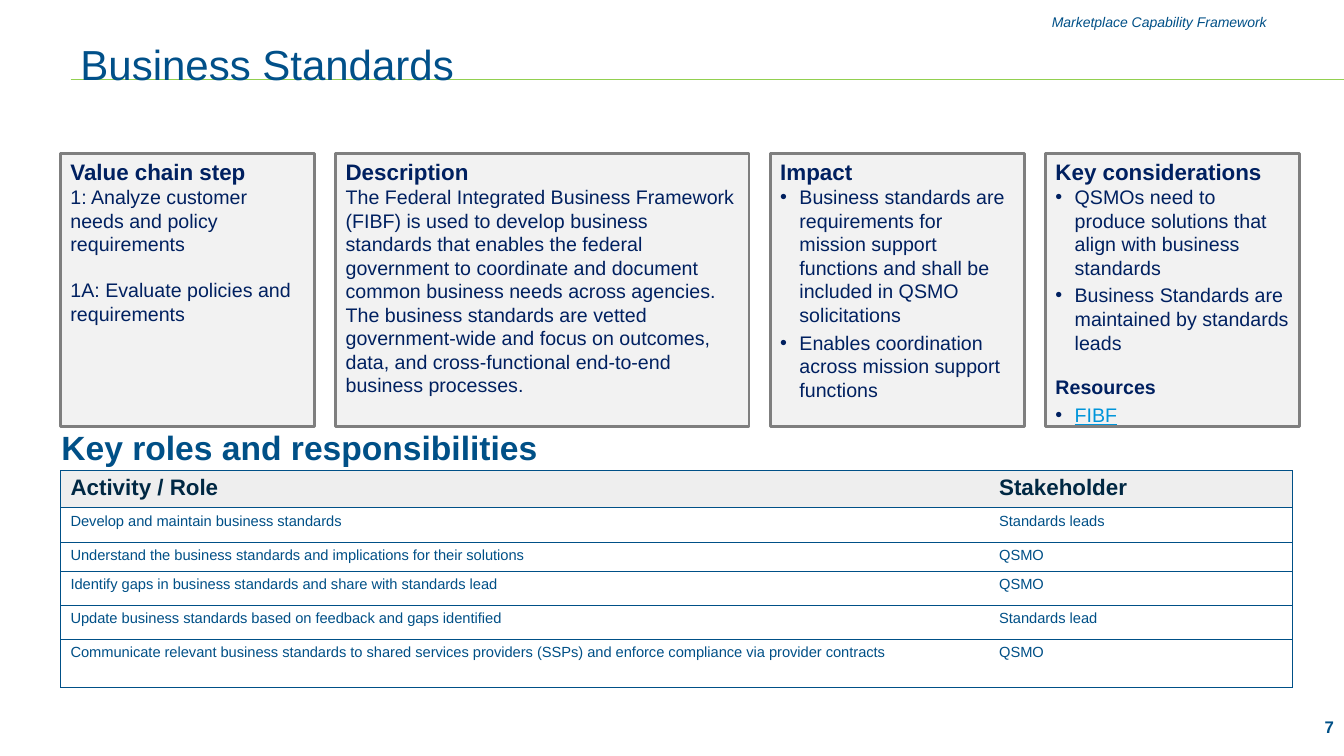
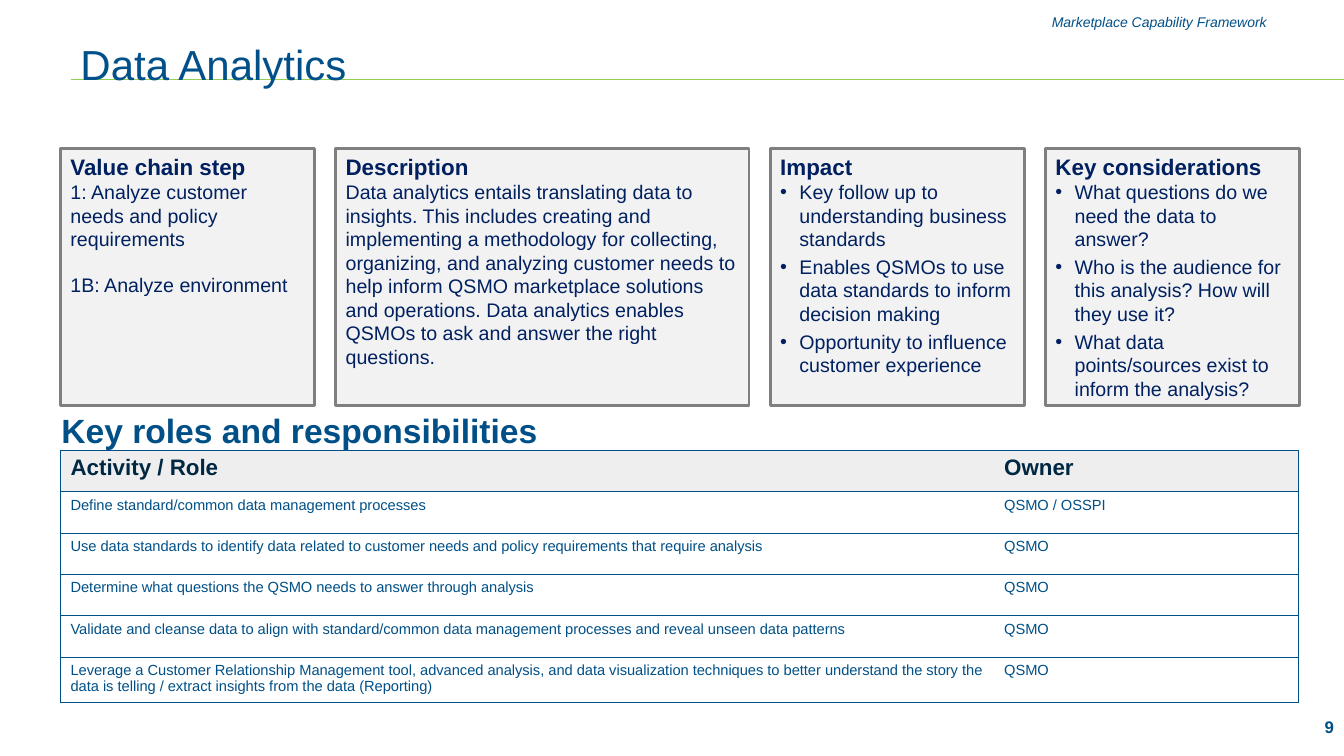
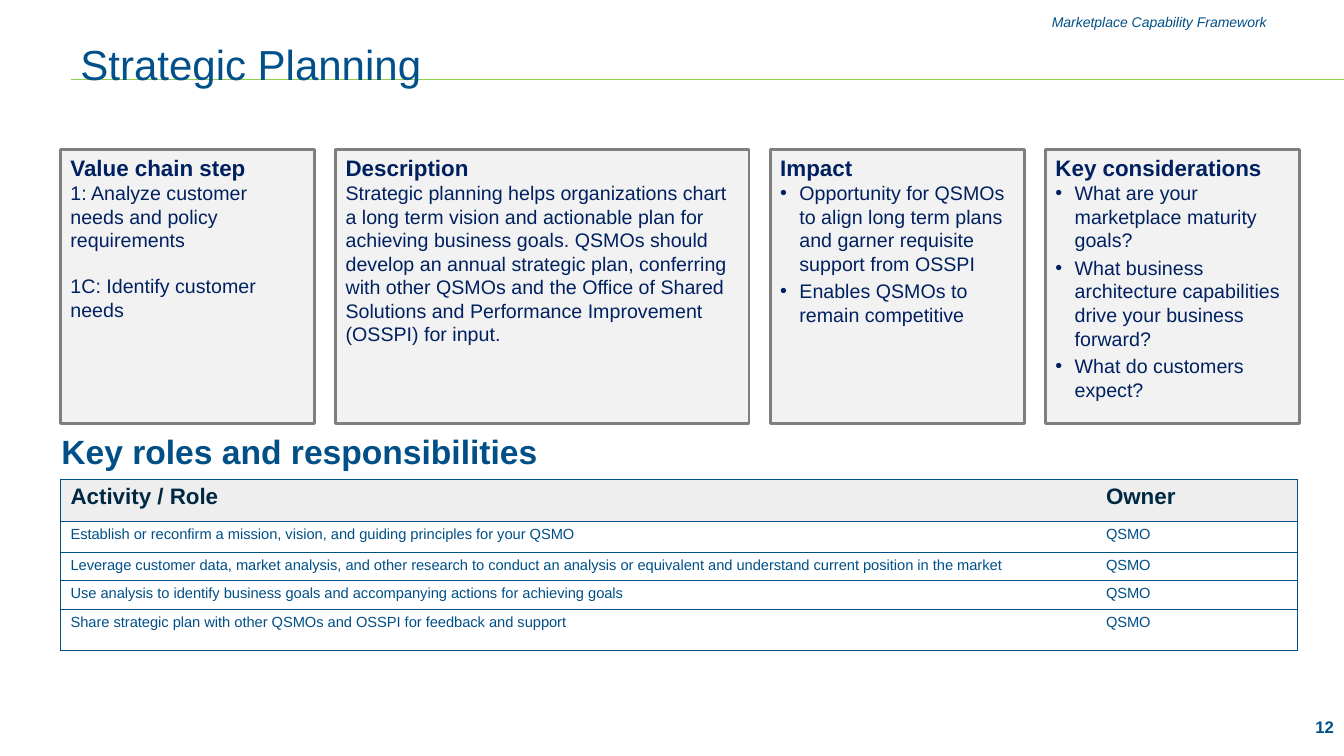
from lxml import etree
from pptx import Presentation
from pptx.dml.color import RGBColor
from pptx.enum.shapes import MSO_CONNECTOR, MSO_SHAPE
from pptx.enum.text import MSO_ANCHOR, PP_ALIGN
from pptx.oxml.ns import qn
from pptx.util import Inches, Pt

RECTANGLE = MSO_SHAPE.RECTANGLE
STRAIGHT = MSO_CONNECTOR.STRAIGHT
TOP, MIDDLE, BOTTOM = MSO_ANCHOR.TOP, MSO_ANCHOR.MIDDLE, MSO_ANCHOR.BOTTOM
LEFT, RIGHT = PP_ALIGN.LEFT, PP_ALIGN.RIGHT

FONT = "Arial"
BLUE, TITLE_BLUE, NAVY, DARK = "005087", "015089", "002060", "002843"
LINK, GREEN = "0095DA", "92D050"
BOX_FILL, BOX_LINE, HEADER_FILL = "F2F2F2", "7F7F7F", "EEEEEE"

WIDTH, HEIGHT = 13.33, 7.5
MARGIN = 0.6
BOX_GAP = 0.21
BOX_WIDTHS = [2.52, 4.1, 2.52, 2.52]
BOX_HEADINGS = ["Value chain step", "Description", "Impact", "Key considerations"]
NO_TABLE_STYLE = "{2D5ABB26-0587-4C30-8999-92F81FD0307C}"

# Kinds of paragraph inside a box
PLAIN, BULLET, SUBHEAD, LINK_BULLET = range(4)
STEP = "1: Analyze customer needs and policy requirements"

SLIDES = [
    {
        "title": "Business Standards",
        "number": "7",
        "boxes_top": 1.52,
        "boxes_height": 2.71,
        "boxes": [
            [(PLAIN, STEP), (PLAIN, "1A: Evaluate policies and requirements")],
            [(PLAIN, "The Federal Integrated Business Framework (FIBF) is used to develop "
                     "business standards that enables the federal government to coordinate and "
                     "document common business needs across agencies. The business standards "
                     "are vetted government-wide and focus on outcomes, data, and "
                     "cross-functional end-to-end business processes.")],
            [(BULLET, "Business standards are requirements for mission support functions and "
                      "shall be included in QSMO solicitations"),
             (BULLET, "Enables coordination across mission support functions")],
            [(BULLET, "QSMOs need to produce solutions that align with business standards"),
             (BULLET, "Business Standards are maintained by standards leads"),
             (SUBHEAD, "Resources"),
             (LINK_BULLET, "FIBF")],
        ],
        "roles_top": 4.19,
        "table_top": 4.67,
        "columns": [9.21, 3.01],
        "row_heights": [0.34, 0.34, 0.29, 0.34, 0.34, 0.47],
        "rows": [
            ("Activity / Role", "Stakeholder"),
            ("Develop and maintain business standards", "Standards leads"),
            ("Understand the business standards and implications for their solutions", "QSMO"),
            ("Identify gaps in business standards and share with standards lead", "QSMO"),
            ("Update business standards based on feedback and gaps identified",
             "Standards lead"),
            ("Communicate relevant business standards to shared services providers (SSPs) and "
             "enforce compliance via provider contracts", "QSMO"),
        ],
    },
    {
        "title": "Data Analytics",
        "number": "9",
        "boxes_top": 1.47,
        "boxes_height": 2.55,
        "boxes": [
            [(PLAIN, STEP), (PLAIN, "1B: Analyze environment")],
            [(PLAIN, "Data analytics entails translating data to insights. This includes "
                     "creating and implementing a methodology for collecting, organizing, and "
                     "analyzing customer needs to help inform QSMO marketplace solutions and "
                     "operations. Data analytics enables QSMOs to ask and answer the right "
                     "questions.")],
            [(BULLET, "Key follow up to understanding business standards"),
             (BULLET, "Enables QSMOs to use data standards to inform decision making"),
             (BULLET, "Opportunity to influence customer experience")],
            [(BULLET, "What questions do we need the data to answer?"),
             (BULLET, "Who is the audience for this analysis? How will they use it?"),
             (BULLET, "What data points/sources exist to inform the analysis?")],
        ],
        "roles_top": 4.02,
        "table_top": 4.47,
        "columns": [9.26, 3.02],
        "row_heights": [0.41] * 6,
        "rows": [
            ("Activity / Role", "Owner"),
            ("Define standard/common data management processes", "QSMO / OSSPI"),
            ("Use data standards to identify data related to customer needs and policy "
             "requirements that require analysis", "QSMO"),
            ("Determine what questions the QSMO needs to answer through analysis", "QSMO"),
            ("Validate and cleanse data to align with standard/common data management "
             "processes and reveal unseen data patterns", "QSMO"),
            ("Leverage a Customer Relationship Management tool, advanced analysis, and data "
             "visualization techniques to better understand the story the data is telling / "
             "extract insights from the data (Reporting)", "QSMO"),
        ],
    },
    {
        "title": "Strategic Planning",
        "number": "12",
        "boxes_top": 1.48,
        "boxes_height": 2.72,
        "boxes": [
            [(PLAIN, STEP), (PLAIN, "1C: Identify customer needs")],
            [(PLAIN, "Strategic planning helps organizations chart a long term vision and "
                     "actionable plan for achieving business goals. QSMOs should develop an "
                     "annual strategic plan, conferring with other QSMOs and the Office of "
                     "Shared Solutions and Performance Improvement (OSSPI) for input.")],
            [(BULLET, "Opportunity for QSMOs to align long term plans and garner requisite "
                      "support from OSSPI"),
             (BULLET, "Enables QSMOs to remain competitive")],
            [(BULLET, "What are your marketplace maturity goals?"),
             (BULLET, "What business architecture capabilities drive your business forward?"),
             (BULLET, "What do customers expect?")],
        ],
        "roles_top": 4.23,
        "table_top": 4.76,
        "columns": [10.27, 2],
        "row_heights": [0.41, 0.31, 0.26, 0.29, 0.41],
        "rows": [
            ("Activity / Role", "Owner"),
            ("Establish or reconfirm a mission, vision, and guiding principles for your QSMO",
             "QSMO"),
            ("Leverage customer data, market analysis, and other research to conduct an "
             "analysis or equivalent and understand current position in the market", "QSMO"),
            ("Use analysis to identify business goals and accompanying actions for achieving "
             "goals", "QSMO"),
            ("Share strategic plan with other QSMOs and OSSPI for feedback and support",
             "QSMO"),
        ],
    },
]


def rgb(value):
    return RGBColor.from_string(value)


def style_font(paragraph, size, color, bold=False, italic=False, underline=False):
    for run in paragraph.runs:
        font = run.font
        font.name, font.size, font.color.rgb = FONT, Pt(size), rgb(color)
        font.bold, font.italic, font.underline = bold, italic, underline


def add_text(slide, box, text, size, color, align=LEFT, anchor=TOP, inset=0.05, **style):
    shape = slide.shapes.add_textbox(*map(Inches, box))
    frame = shape.text_frame
    frame.word_wrap = True
    frame.vertical_anchor = anchor
    frame.margin_top = frame.margin_bottom = Inches(inset)
    frame.text = text
    paragraph = frame.paragraphs[0]
    paragraph.alignment = align
    style_font(paragraph, size, color, **style)


def add_bullet(paragraph):
    properties = paragraph._p.get_or_add_pPr()
    properties.set("marL", str(Inches(0.19)))
    properties.set("indent", str(Inches(-0.19)))
    color = etree.SubElement(properties, qn("a:buClr"))
    etree.SubElement(color, qn("a:srgbClr")).set("val", NAVY)
    etree.SubElement(properties, qn("a:buFont")).set("typeface", FONT)
    etree.SubElement(properties, qn("a:buChar")).set("char", "•")


def add_frame(slide, title, number):
    """Place the rule, framework name, title and page number shared by all slides."""
    rule = slide.shapes.add_connector(
        STRAIGHT, Inches(0.7), Inches(0.79), Inches(WIDTH), Inches(0.79))
    rule.line.color.rgb = rgb(GREEN)
    rule.line.width = Pt(0.75)
    etree.SubElement(rule._element.spPr, qn("a:effectLst"))
    add_text(slide, (8.83, 0.08, 3.83, 0.28), "Marketplace Capability Framework",
             10, BLUE, RIGHT, MIDDLE, italic=True)
    add_text(slide, (0.7, 0.16, 11.96, 0.94), title, 30, TITLE_BLUE, anchor=MIDDLE)
    add_text(slide, (12.53, 6.84, 0.8, 0.57), number, 12, BLUE, RIGHT, BOTTOM,
             inset=0.1, bold=True)


def add_box(slide, box, heading, items):
    shape = slide.shapes.add_shape(RECTANGLE, *map(Inches, box))
    shape.shadow.inherit = False
    shape.fill.solid()
    shape.fill.fore_color.rgb = rgb(BOX_FILL)
    shape.line.color.rgb = rgb(BOX_LINE)
    shape.line.width = Pt(2)
    frame = shape.text_frame
    frame.word_wrap = True
    frame.vertical_anchor = TOP
    frame.text = heading
    frame.paragraphs[0].alignment = LEFT
    style_font(frame.paragraphs[0], 16, NAVY, bold=True)
    space_before = {PLAIN: 16, BULLET: 3, SUBHEAD: 15, LINK_BULLET: 3}
    for index, (kind, text) in enumerate(items):
        paragraph = frame.add_paragraph()
        paragraph.text = text
        paragraph.alignment = LEFT
        paragraph.space_before = Pt(space_before[kind] if index else 0)
        if kind in (BULLET, LINK_BULLET):
            add_bullet(paragraph)
        is_link = kind == LINK_BULLET
        style_font(paragraph, 14, LINK if is_link else NAVY,
                   bold=kind == SUBHEAD, underline=is_link)


def add_box_row(slide, top, height, contents):
    left = MARGIN
    for width, heading, items in zip(BOX_WIDTHS, BOX_HEADINGS, contents):
        add_box(slide, (left, top, width, height), heading, items)
        left += width + BOX_GAP


def set_borders(cell, sides):
    """Draw the given sides, named L, R, T and B, in that order."""
    properties = cell._tc.get_or_add_tcPr()
    for index, side in enumerate(sides):
        line = etree.Element(qn("a:ln" + side), w=str(Pt(0.75)))
        fill = etree.SubElement(line, qn("a:solidFill"))
        etree.SubElement(fill, qn("a:srgbClr")).set("val", BLUE)
        properties.insert(index, line)


def add_roles_table(slide, top, columns, row_heights, rows):
    """Rule off the header and then every second row, inside an outer frame."""
    box = (MARGIN, top, sum(columns), sum(row_heights))
    table = slide.shapes.add_table(len(rows), len(columns), *map(Inches, box)).table
    table._tbl.tblPr.find(qn("a:tableStyleId")).text = NO_TABLE_STYLE
    for column, width in zip(table.columns, columns):
        column.width = Inches(width)
    last = len(rows) - 1
    for row_index, (texts, height) in enumerate(zip(rows, row_heights)):
        table.rows[row_index].height = Inches(height)
        is_header = row_index == 0
        ruled_above = is_header or row_index % 2 == 1
        ruled_below = row_index == last or row_index % 2 == 0
        for column_index, text in enumerate(texts):
            cell = table.cell(row_index, column_index)
            cell.text = text
            if is_header:
                cell.fill.solid()
                cell.fill.fore_color.rgb = rgb(HEADER_FILL)
                style_font(cell.text_frame.paragraphs[0], 16, DARK, bold=True)
            else:
                cell.fill.background()
                style_font(cell.text_frame.paragraphs[0], 10.5, BLUE)
            side = "R" if column_index else "L"
            set_borders(cell, side + "T" * ruled_above + "B" * ruled_below)


def add_capability_slide(presentation, content):
    slide = presentation.slides.add_slide(presentation.slide_layouts[6])
    add_frame(slide, content["title"], content["number"])
    add_box_row(slide, content["boxes_top"], content["boxes_height"], content["boxes"])
    add_roles_table(slide, content["table_top"], content["columns"],
                    content["row_heights"], content["rows"])
    add_text(slide, (0.51, content["roles_top"], 4.94, 0.5),
             "Key roles and responsibilities", 24, BLUE, bold=True)


def main():
    presentation = Presentation()
    presentation.slide_width = Inches(WIDTH)
    presentation.slide_height = Inches(HEIGHT)
    for content in SLIDES:
        add_capability_slide(presentation, content)
    presentation.save("out.pptx")


if __name__ == "__main__":
    main()
